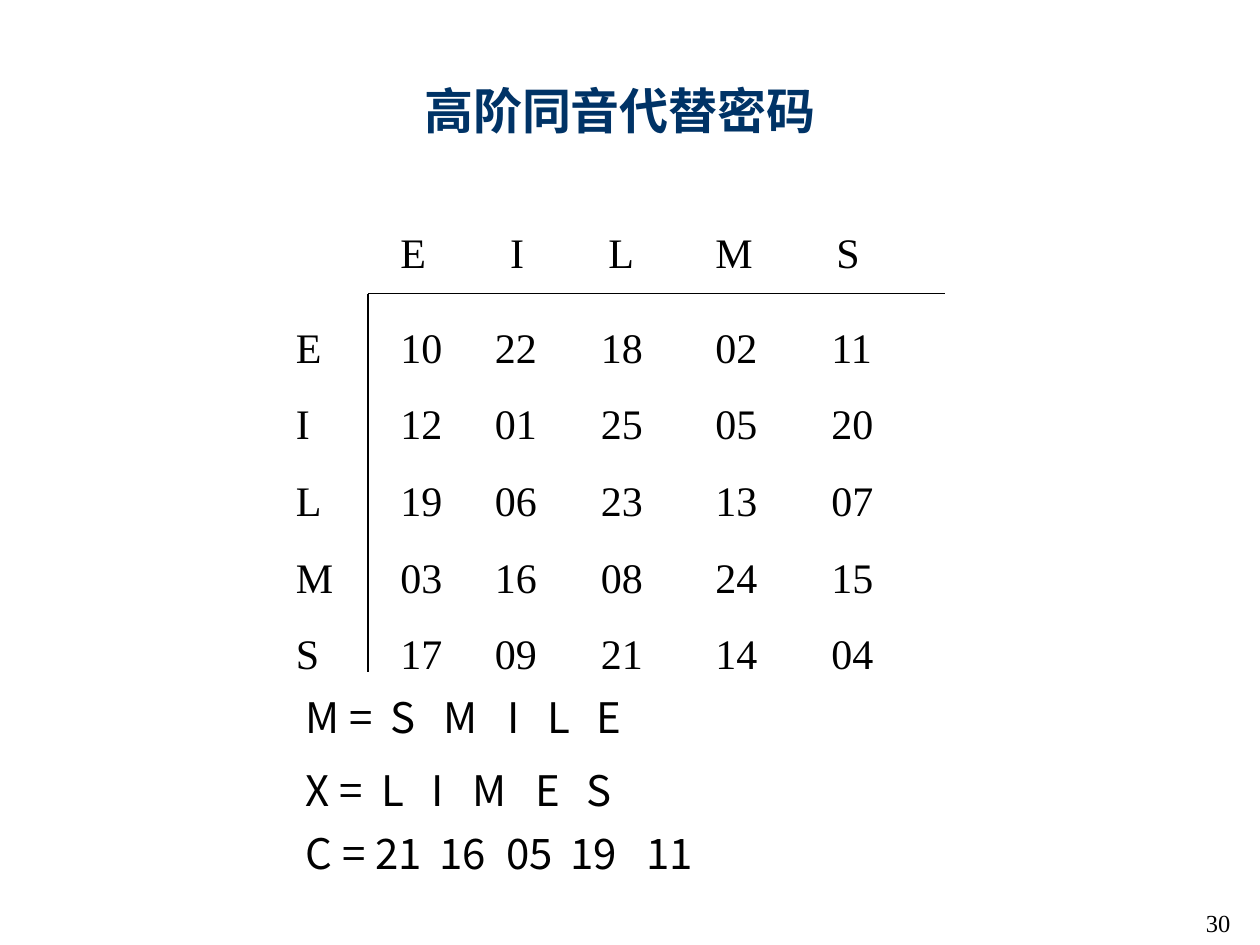
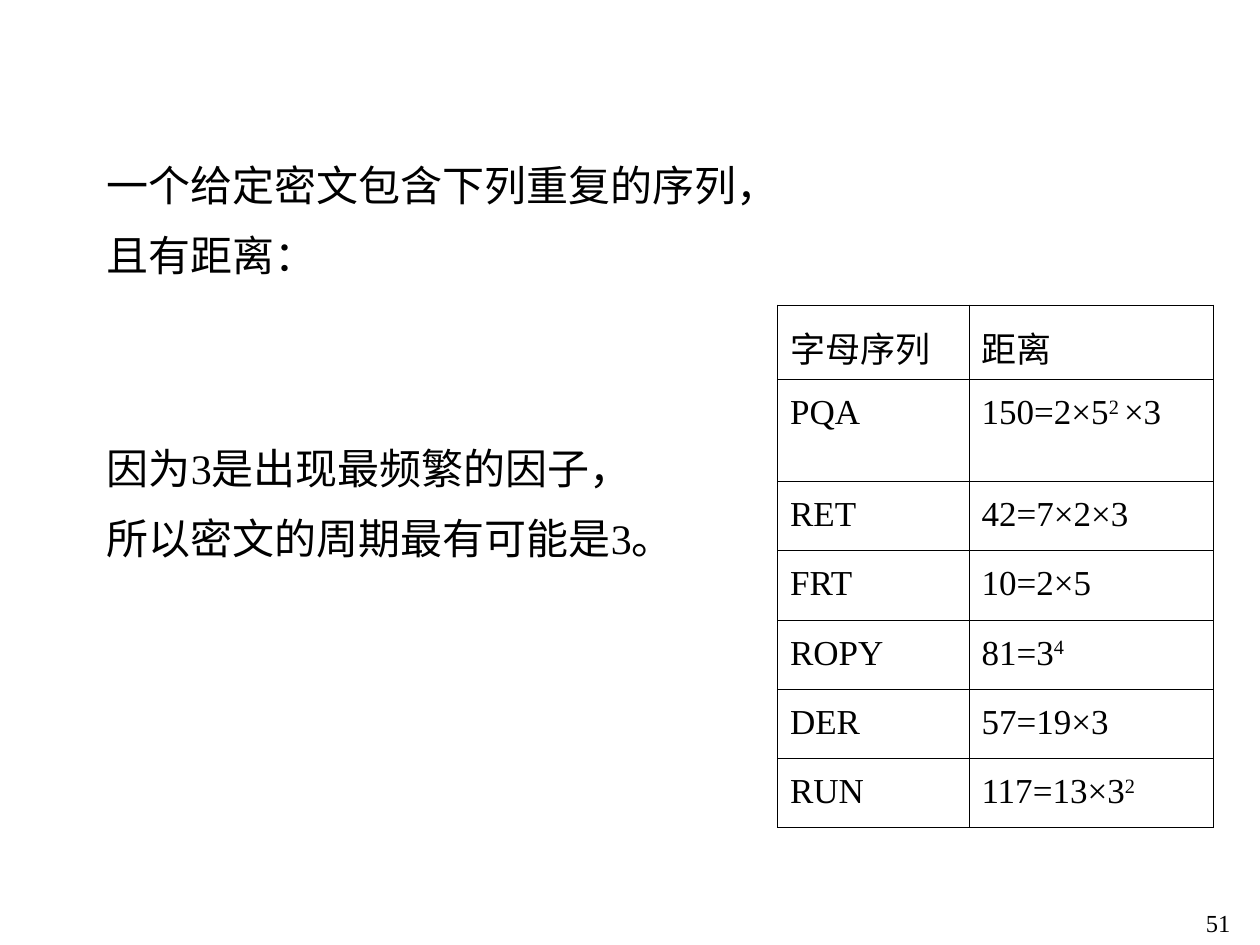
import pptx
import pptx.dml.color
import pptx.enum.shapes
import pptx.enum.text
import pptx.oxml
import pptx.oxml.ns
import pptx.util
from dataclasses import dataclass
from lxml import etree

Inches = pptx.util.Inches
Pt = pptx.util.Pt
qn = pptx.oxml.ns.qn


@dataclass(frozen=True)
class Theme:
    ink: str = "000000"
    title_ink: str = "003366"
    shadow: str = "C0C0C0"
    serif: str = "Times New Roman"
    sans: str = "Noto Sans CJK SC"
    title_face: str = "Arial"
    title_size: int = 28
    text_size: int = 24
    table_size: int = 20
    number_size: int = 14
    rule: float = 1
    cell_rule: float = 0.45


THEME = Theme()
INSET = (0.1, 0.05)

CIPHER_TITLE = "高阶同音代替密码"
LETTERS = ["E", "I", "L", "M", "S"]
CODES = [
    ["10", "22", "18", "02", "11"],
    ["12", "01", "25", "05", "20"],
    ["19", "06", "23", "13", "07"],
    ["03", "16", "08", "24", "15"],
    ["17", "09", "21", "14", "04"],
]
LETTER_TABS = [0.87, 1.65, 2.5, 3.46]
CODE_TABS = [0.75, 1.59, 2.5, 3.42]
MESSAGES = [
    (5.44, ["M =", "S", "M", "I", "L", "E"], [0.67, 1.09, 1.6, 1.92, 2.31]),
    (6.02, ["X =", "L", "I", "M", "E", "S"], [0.6, 1, 1.32, 1.82, 2.23]),
    (6.52, ["C =", "21", "16", "05", "19", "11"], [0.55, 1.06, 1.59, 2.1, 2.7]),
]

PERIOD_LINES = [
    "一个给定密文包含下列重复的序列，",
    "且有距离：",
    "因为3是出现最频繁的因子，",
    "所以密文的周期最有可能是3。",
]
PERIOD_GAPS = [0, 6, 87, 6]
DISTANCES = [
    ("字母序列", ["距离"]),
    ("PQA", ["150=2×5", "2 ", "×3"]),
    ("RET", ["42=7×2×3"]),
    ("FRT", ["10=2×5"]),
    ("ROPY", ["81=3", "4"]),
    ("DER", ["57=19×3"]),
    ("RUN", ["117=13×3", "2"]),
]
DISTANCE_COLUMNS = [1.52, 1.94]
DISTANCE_ROWS = [0.59, 0.81] + [0.55] * 5


def style(font, face, size, color=THEME.ink, bold=False):
    font.size, font.bold = Pt(size), bold
    font.color.rgb = pptx.dml.color.RGBColor.from_string(color)
    font.name = face
    latin = font._element.find(qn("a:latin"))
    east = etree.Element(qn("a:ea"), typeface=THEME.sans)
    latin.addnext(east)


def add_tabs(paragraph, stops):
    tabs = etree.SubElement(paragraph._p.get_or_add_pPr(), qn("a:tabLst"))
    for stop in stops:
        etree.SubElement(tabs, qn("a:tab"), pos=str(Inches(stop)), algn="l")


def add_text(slide, at, lines, face=THEME.serif, size=THEME.text_size, color=THEME.ink,
             bold=False, inset=INSET, tabs=(), gaps=None, leading=None):
    frame = slide.shapes.add_textbox(*map(Inches, at)).text_frame
    frame.word_wrap = True
    frame.margin_left = frame.margin_right = Inches(inset[0])
    frame.margin_top = frame.margin_bottom = Inches(inset[1])
    frame.text = "\n".join(lines)
    for index, paragraph in enumerate(frame.paragraphs):
        if leading:
            paragraph.line_spacing = Pt(leading)
        if gaps and index:
            paragraph.space_before = Pt(gaps[index])
        if tabs:
            add_tabs(paragraph, tabs)
        for run in paragraph.runs:
            style(run.font, face, size, color, bold)
    return frame


def add_title(slide, title):
    frame = add_text(slide, (0.67, 0.58, 8.5, 0.58), [title], THEME.title_face,
                     THEME.title_size, THEME.title_ink, True)
    frame.vertical_anchor = pptx.enum.text.MSO_ANCHOR.MIDDLE
    heading = frame.paragraphs[0]
    heading.alignment = pptx.enum.text.PP_ALIGN.CENTER
    effects = etree.Element(qn("a:effectLst"))
    shadow = etree.SubElement(effects, qn("a:outerShdw"), dist="25400", dir="2700000")
    etree.SubElement(shadow, qn("a:srgbClr"), val=THEME.shadow)
    heading.runs[0].font._element.find(qn("a:solidFill")).addnext(effects)


def add_rule(slide, start, end):
    rule = slide.shapes.add_connector(pptx.enum.shapes.MSO_CONNECTOR.STRAIGHT,
                                      *map(Inches, start + end))
    rule.line.width = Pt(THEME.rule)
    rule.line.color.rgb = pptx.dml.color.RGBColor.from_string(THEME.ink)
    etree.SubElement(rule._element.spPr, qn("a:effectLst"))


def add_borders(cell):
    properties = cell._tc.get_or_add_tcPr()
    for index, side in enumerate(("lnL", "lnR", "lnT", "lnB")):
        border = etree.Element(qn(f"a:{side}"), w=str(Pt(THEME.cell_rule)))
        fill = etree.SubElement(border, qn("a:solidFill"))
        etree.SubElement(fill, qn("a:srgbClr"), val=THEME.ink)
        properties.insert(index, border)


def fill_cell(cell, parts):
    cell.fill.background()
    cell.margin_left = cell.margin_right = Inches(INSET[0])
    cell.margin_top = cell.margin_bottom = Inches(INSET[1])
    entry = cell.text_frame.paragraphs[0]
    entry.line_spacing = 1.2
    for index, part in enumerate(parts):
        run = entry.add_run()
        run.text = part
        style(run.font, THEME.serif, THEME.table_size)
        if index % 2:
            run.font._element.set("baseline", "30000")
    add_borders(cell)


def add_distances(slide):
    at = (6.17, 2.42, sum(DISTANCE_COLUMNS), sum(DISTANCE_ROWS))
    table = slide.shapes.add_table(len(DISTANCES), len(DISTANCE_COLUMNS),
                                   *map(Inches, at)).table
    table.first_row = table.horz_banding = False
    for column, width in zip(table.columns, DISTANCE_COLUMNS):
        column.width = Inches(width)
    for row, height, (sequence, distance) in zip(table.rows, DISTANCE_ROWS, DISTANCES):
        row.height = Inches(height)
        for cell, parts in zip(row.cells, ([sequence], distance)):
            fill_cell(cell, parts)


def add_slide(deck, number):
    slide = deck.slides.add_slide(deck.slide_layouts[6])
    add_text(slide, (9.57, 7.21, 0.33, 0.23), [str(number)],
             size=THEME.number_size, inset=(0, 0))
    return slide


def build_cipher(deck):
    slide = add_slide(deck, 30)
    add_title(slide, CIPHER_TITLE)
    corner = (2.92, 2.33)
    add_rule(slide, corner, (7.5, corner[1]))
    add_rule(slide, corner, (corner[0], 5.33))
    grid = {"leading": 28.8, "gaps": [15] * len(LETTERS)}
    add_text(slide, (3.08, 1.75, 4.17, 0.5), ["\t".join(LETTERS)], tabs=LETTER_TABS, **grid)
    add_text(slide, (2.25, 2.5, 0.5, 2.94), LETTERS, **grid)
    add_text(slide, (3.08, 2.5, 4.34, 2.94), ["\t".join(row) for row in CODES],
             tabs=CODE_TABS, **grid)
    for top, symbols, tabs in MESSAGES:
        add_text(slide, (2.33, top, 4.5, 0.58), ["\t".join(symbols)], THEME.sans, tabs=tabs)


def build_period(deck):
    slide = add_slide(deck, 51)
    add_text(slide, (0.75, 1.14, 6, 3.4), PERIOD_LINES, gaps=PERIOD_GAPS, leading=34.3)
    add_distances(slide)


def main():
    deck = pptx.Presentation()
    deck.slide_width, deck.slide_height = Inches(10), Inches(7.5)
    build_cipher(deck)
    build_period(deck)
    deck.save("out.pptx")


if __name__ == "__main__":
    main()
